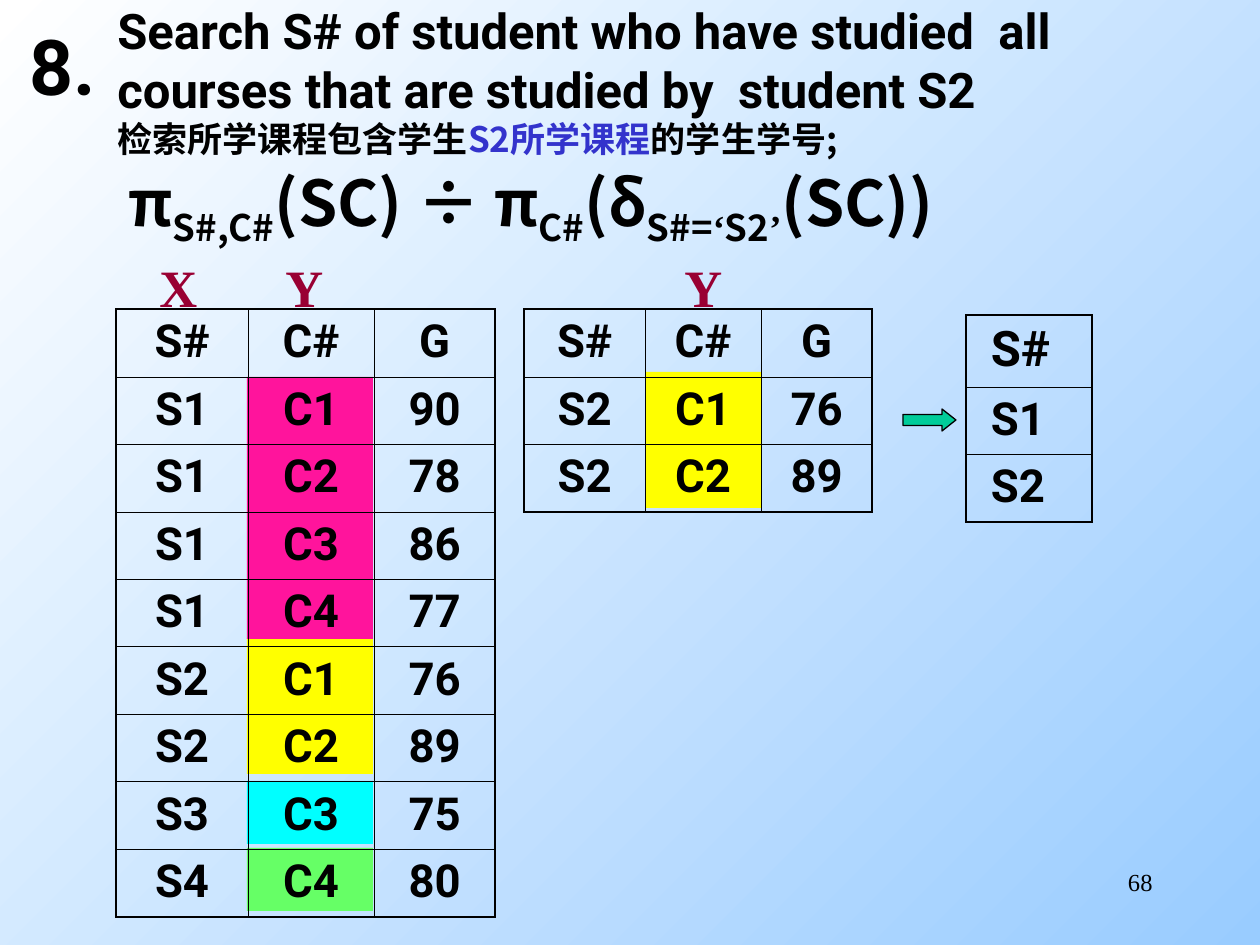
from lxml import etree
from pptx import Presentation
from pptx import util as u
from pptx.dml.color import RGBColor
from pptx.enum import shapes, text
from pptx.oxml import ns

SCALE = 914400 / 126
COLORS = {
    "ink": "000000", "label": "990033", "accent": "3333CC",
    "pink": "FF149C", "yellow": "FFFF00", "cyan": "00FFFF",
    "green": "66FF66", "arrow": "00CC99",
    "sky_start": "FFFFFF", "sky_end": "99CCFF",
}
SANS, CJK, SERIF = "Roboto", "Noto Sans CJK SC", "Times New Roman"

GRADES = [
    ("S#", "C#", "G"),
    ("S1", "C1", "90"), ("S1", "C2", "78"),
    ("S1", "C3", "86"), ("S1", "C4", "77"),
    ("S2", "C1", "76"), ("S2", "C2", "89"),
    ("S3", "C3", "75"), ("S4", "C4", "80"),
]
S2_GRADES = [GRADES[0]] + [row for row in GRADES if row[0] == "S2"]
ANSWER = [("S#",), ("S1",), ("S2",)]


def px(length):
    return u.Emu(round(length * SCALE))


def color(name):
    return RGBColor.from_string(COLORS[name])


def write(paragraph, words, size=26, font=SANS, ink="ink", bold=True, baseline=0):
    run = paragraph.add_run()
    run.text = words
    run.font.size = u.Pt(size)
    run.font.bold = bold
    run.font.name = font
    run.font.color.rgb = color(ink)
    properties = run.font._element
    etree.SubElement(properties, ns.qn("a:ea")).set("typeface", font)
    if baseline:
        properties.set("baseline", str(baseline * 1000))


def add_box(slide, x, y, width, height):
    frame = slide.shapes.add_textbox(*map(px, (x, y, width, height))).text_frame
    frame.word_wrap = True
    frame.auto_size = text.MSO_AUTO_SIZE.SHAPE_TO_FIT_TEXT
    return frame


def add_block(slide, kind, bounds, fill, outlined=False):
    block = slide.shapes.add_shape(kind, *map(px, bounds))
    block.shadow.inherit = False
    block.fill.solid()
    block.fill.fore_color.rgb = color(fill)
    if outlined:
        block.line.color.rgb = color("ink")
        block.line.width = u.Pt(0.75)
    else:
        block.line.fill.background()
    return block


def set_borders(cell, outer_sides):
    properties = cell._tc.get_or_add_tcPr()
    for position, side in enumerate("LRTB"):
        border = etree.Element(ns.qn(f"a:ln{side}"))
        border.set("w", str(u.Pt(1.08 if side in outer_sides else 0.45)))
        fill = etree.SubElement(border, ns.qn("a:solidFill"))
        etree.SubElement(fill, ns.qn("a:srgbClr")).set("val", COLORS["ink"])
        properties.insert(position, border)


def add_relation(slide, x, y, columns, height, header, rows,
                 align=text.PP_ALIGN.CENTER, indent=13, header_size=26):
    table = slide.shapes.add_table(
        len(rows), len(columns), px(x), px(y), px(sum(columns)), px(height)).table
    table.first_row = table.horz_banding = False
    for column, width in zip(table.columns, columns):
        column.width = px(width)
    last_row, last_column = len(rows) - 1, len(columns) - 1
    for r, values in enumerate(rows):
        table.rows[r].height = px((height - header) / last_row if r else header)
        for c, value in enumerate(values):
            cell = table.cell(r, c)
            cell.fill.background()
            cell.margin_left = px(indent)
            paragraph = cell.text_frame.paragraphs[0]
            paragraph.alignment = align
            write(paragraph, value, size=26 if r else header_size)
            edges = {"L": c == 0, "R": c == last_column, "T": r == 0, "B": r == last_row}
            set_borders(cell, [side for side, outer in edges.items() if outer])


def paint_background(slide):
    fill = slide.background.fill
    fill.gradient()
    fill.gradient_angle = 315
    for stop, position, name in zip(fill.gradient_stops, (0, 1), ("sky_start", "sky_end")):
        stop.position = position
        stop.color.rgb = color(name)


def set_title(slide):
    title = slide.shapes.title
    title.left, title.top, title.width, title.height = map(px, (0, 24, 126, 81))
    frame = title.text_frame
    frame.auto_size = text.MSO_AUTO_SIZE.NONE
    frame.vertical_anchor = text.MSO_ANCHOR.MIDDLE
    frame.margin_left = frame.margin_right = 0
    frame.paragraphs[0].alignment = text.PP_ALIGN.CENTER
    write(frame.paragraphs[0], "8.", size=44)


def add_question(slide):
    frame = add_box(slide, 105, -6, 1124, 173)
    write(frame.paragraphs[0],
          "Search S# of student who have studied  all courses that are studied by  student S2",
          size=28)
    chinese = frame.add_paragraph()
    for words, ink in (("检索所学课程包含学生", "ink"), ("S2所学课程", "accent"),
                       ("的学生学号;", "ink")):
        write(chinese, words, size=20, font=CJK, ink=ink)


def add_formula(slide):
    formula = add_box(slide, 116, 157, 955, 100).paragraphs[0]
    for words, baseline, font in (
            ("π", 0, CJK), ("S#,C#", -25, CJK), ("(SC) ÷ π", 0, CJK),
            ("C#", -25, CJK), ("(δ", 0, CJK), ("S#=", -25, CJK),
            ("‘", -25, SERIF), ("S2", -25, CJK), ("’", -25, SERIF), ("(SC))", 0, CJK)):
        write(formula, words, size=36, font=font, baseline=baseline)


def add_page_number(slide):
    frame = add_box(slide, 903, 861, 262, 63)
    frame.auto_size = text.MSO_AUTO_SIZE.NONE
    frame.paragraphs[0].alignment = text.PP_ALIGN.RIGHT
    write(frame.paragraphs[0], "68", size=14, font=SERIF, bold=False)


def main():
    deck = Presentation()
    deck.slide_width, deck.slide_height = px(1260), px(945)
    slide = deck.slides.add_slide(deck.slide_layouts[5])
    paint_background(slide)
    set_title(slide)
    add_page_number(slide)

    for x, y, width, height, fill in (
            (247, 848, 126, 63, "green"), (247, 781, 126, 63, "cyan"),
            (247, 638, 126, 136, "yellow"), (247, 377, 126, 262, "pink"),
            (646, 372, 116, 136, "yellow")):
        add_block(slide, shapes.MSO_SHAPE.RECTANGLE, (x, y, width, height), fill)

    add_relation(slide, 116, 309, (132, 126, 121), 608, 68, GRADES)
    for x, name in ((147, "X"), (273, "Y"), (672, "Y")):
        write(add_box(slide, x, 249, 63, 76).paragraphs[0], name,
              size=30, font=SERIF, ink="label")
    add_formula(slide)
    add_relation(slide, 524, 309, (121, 116, 111), 203, 68, S2_GRADES)
    add_question(slide)
    add_relation(slide, 966, 315, (126,), 207, 72, ANSWER,
                 align=text.PP_ALIGN.LEFT, indent=25, header_size=28)
    arrow = add_block(slide, shapes.MSO_SHAPE.RIGHT_ARROW, (903, 409, 53, 22),
                      "arrow", outlined=True)
    arrow.adjustments[0], arrow.adjustments[1] = 0.5, 0.63
    deck.save("out.pptx")


if __name__ == "__main__":
    main()
